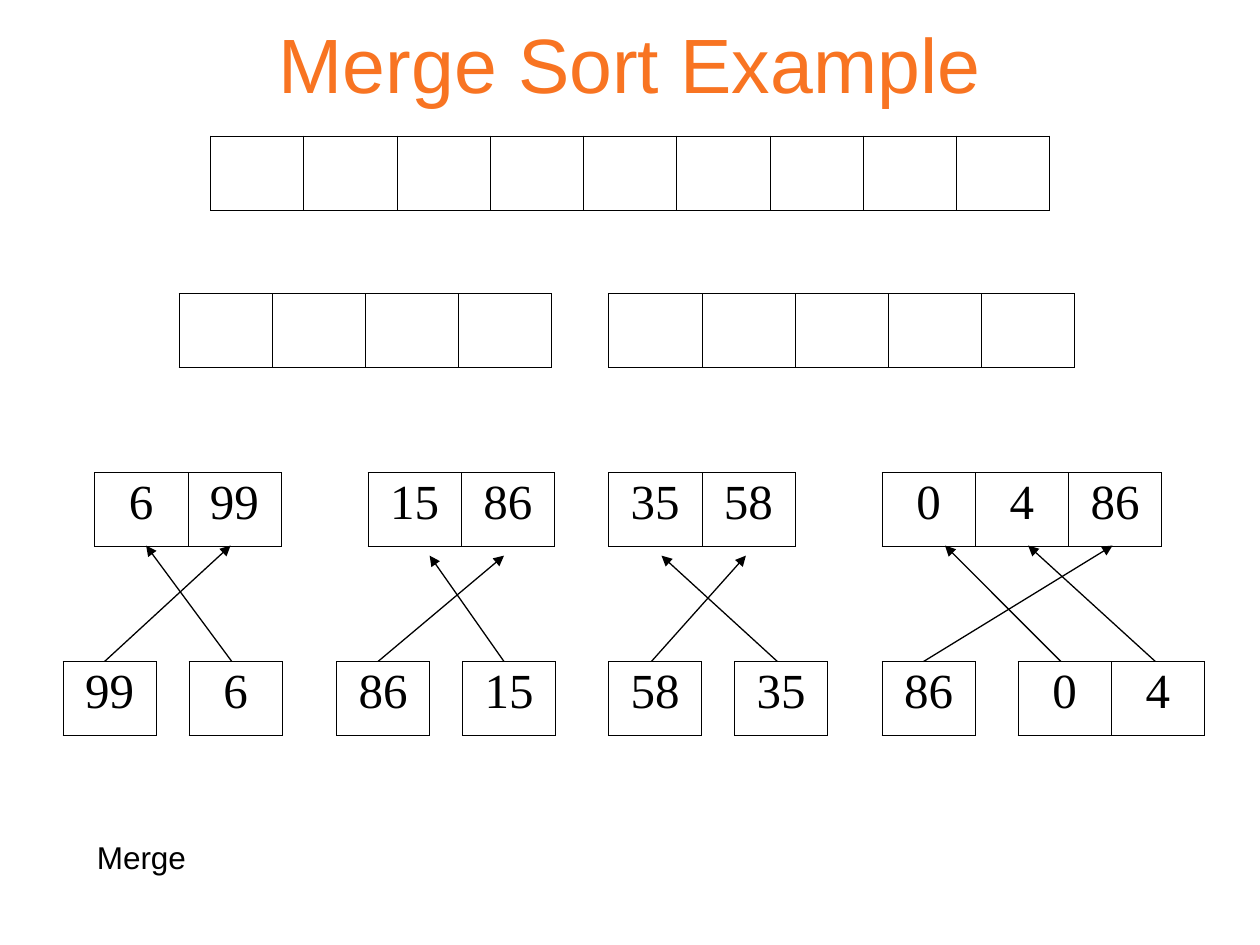
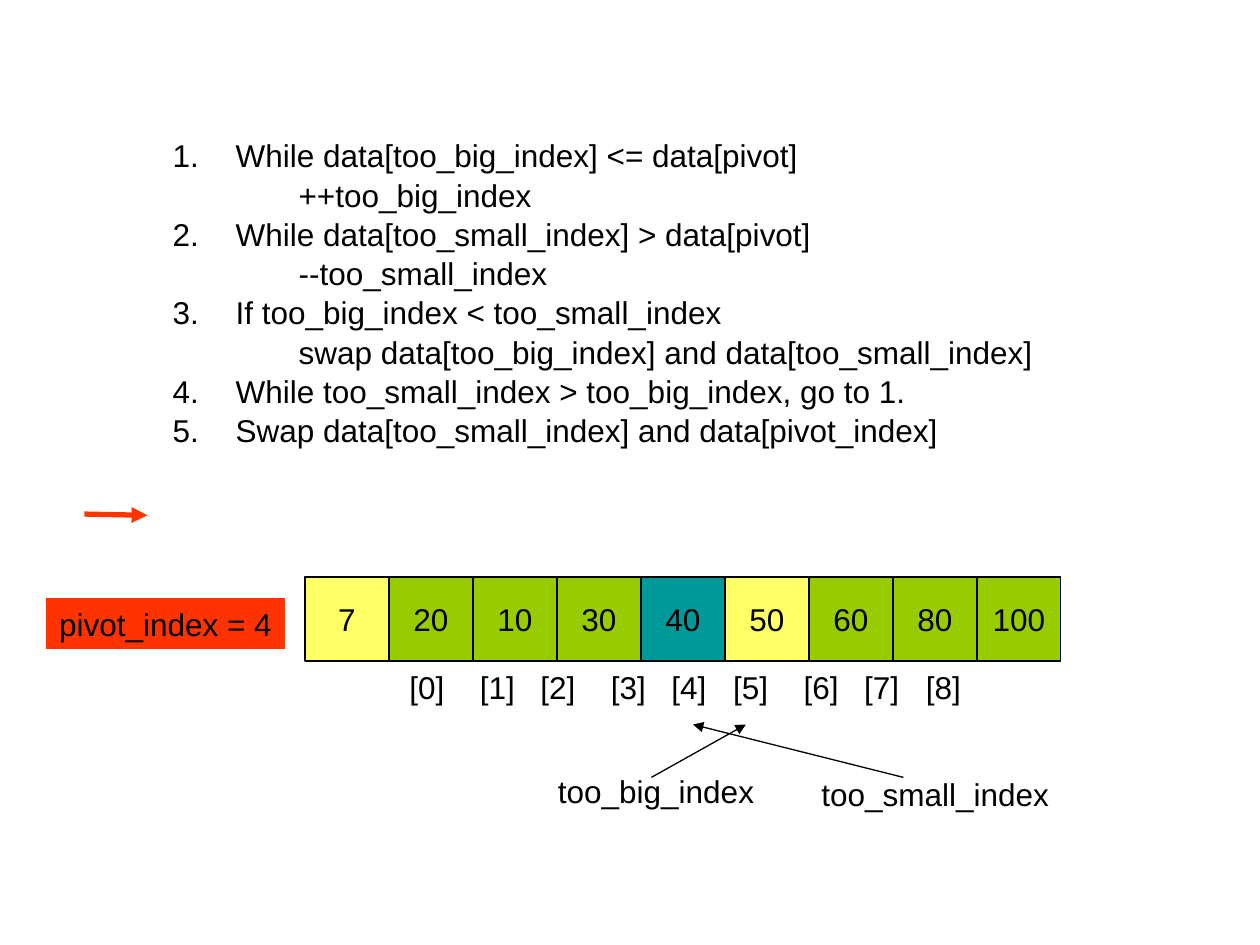
from lxml import etree
from pptx import Presentation
from pptx.dml.color import RGBColor
from pptx.enum.shapes import MSO_CONNECTOR, MSO_SHAPE
from pptx.enum.text import MSO_ANCHOR, MSO_AUTO_SIZE, PP_ALIGN
from pptx.oxml.ns import qn
from pptx.util import Inches, Pt

STRAIGHT = MSO_CONNECTOR.STRAIGHT
RECTANGLE = MSO_SHAPE.RECTANGLE
MIDDLE, TOP = MSO_ANCHOR.MIDDLE, MSO_ANCHOR.TOP
CENTER, LEFT = PP_ALIGN.CENTER, PP_ALIGN.LEFT
NO_AUTOFIT = MSO_AUTO_SIZE.NONE

BLACK = RGBColor(0x00, 0x00, 0x00)
ORANGE = RGBColor(0xF8, 0x74, 0x22)
RED = RGBColor(0xFF, 0x33, 0x00)
YELLOW = RGBColor(0xFF, 0xFF, 0x66)
GREEN = RGBColor(0x99, 0xCC, 0x00)
TEAL = RGBColor(0x00, 0x99, 0x99)

SANS, SERIF = "Arial", "Times New Roman"
TITLE_SIZE, BODY_SIZE, NUMBER_SIZE = 44, 18, 28
TITLE_LAYOUT, BODY_LAYOUT = 5, 1

MERGE_TITLE = "Merge Sort Example"
COLUMN_WIDTH, ROW_HEIGHT = 0.74, 0.59
MERGE_ROWS = [
    (1.08, [(1.67, [""] * 9)]),
    (2.33, [(1.42, [""] * 4), (4.83, [""] * 5)]),
    (3.75, [(0.75, ["6", "99"]), (2.92, ["15", "86"]),
            (4.83, ["35", "58"]), (7, ["0", "4", "86"])]),
    (5.25, [(0.5, ["99"]), (1.5, ["6"]), (2.67, ["86"]), (3.67, ["15"]),
            (4.83, ["58"]), (5.83, ["35"]), (7, ["86"]), (8.08, ["0", "4"])]),
]
MERGE_ARROWS_TOP = 5.25
MERGE_ARROWS = [
    (4.33, [(9.17, 8.16), (7.33, 8.83), (8.42, 7.5), (1.84, 1.16), (0.83, 1.83)]),
    (4.41, [(6.17, 5.25), (5.17, 5.92), (4, 3.41), (3, 4)]),
]

PARTITION_STEPS = [
    ("While data[too_big_index] <= data[pivot]", "++too_big_index"),
    ("While data[too_small_index] > data[pivot]", "--too_small_index"),
    ("If too_big_index < too_small_index",
     "swap data[too_big_index] and data[too_small_index]"),
    ("While too_small_index > too_big_index, go to 1.", None),
    ("Swap data[too_small_index] and data[pivot_index]", None),
]
ARRAY = [("7", YELLOW), ("20", GREEN), ("10", GREEN), ("30", GREEN), ("40", TEAL),
         ("50", YELLOW), ("60", GREEN), ("80", GREEN), ("100", GREEN)]
ARRAY_LEFT, ARRAY_TOP, ARRAY_CELL = 2.42, 4.58, 2 / 3
INDEX_TABS = [0.56, 1.04, 1.6, 2.08, 2.57, 3.13, 3.61, 4.1]
POINTER_LABELS = [("too_big_index", 4.33, 6.08, 3.17),
                  ("too_small_index", 6.42, 6.1, 2.33)]
POINTER_ARROWS = [((7.17, 6.17), (5.5, 5.75)), ((5.17, 6.17), (5.92, 5.75))]


def place(shape, left, top, width, height):
    shape.left, shape.top = Inches(left), Inches(top)
    shape.width, shape.height = Inches(width), Inches(height)


def format_runs(para, size=BODY_SIZE, color=BLACK, font=SANS):
    for span in para.runs:
        span.font.size = Pt(size)
        span.font.name = font
        span.font.color.rgb = color


def add_label(slide, text, left, top, width, tabs=()):
    box = slide.shapes.add_textbox(Inches(left), Inches(top), Inches(width), Inches(0.4))
    box.text_frame.word_wrap = True
    box.text_frame.text = text
    para = box.text_frame.paragraphs[0]
    if tabs:
        stops = etree.SubElement(para._p.get_or_add_pPr(), qn("a:tabLst"))
        for position in tabs:
            etree.SubElement(stops, qn("a:tab"), pos=str(Inches(position)), algn="l")
    format_runs(para)


def add_block(slide, text, fill, line, align, anchor, *area):
    block = slide.shapes.add_shape(RECTANGLE, *map(Inches, area))
    block.shadow.inherit = False
    block.fill.solid()
    block.fill.fore_color.rgb = fill
    block.line.color.rgb = line
    block.line.width = Pt(0.75)
    frame = block.text_frame
    frame.word_wrap = False
    frame.vertical_anchor = anchor
    frame.text = text
    frame.paragraphs[0].alignment = align
    format_runs(frame.paragraphs[0])


def add_arrow(slide, start, end, color=BLACK, width=0.75):
    arrow = slide.shapes.add_connector(STRAIGHT, *map(Inches, (*start, *end)))
    arrow.line.color.rgb = color
    arrow.line.width = Pt(width)
    etree.SubElement(arrow.line._get_or_add_ln(), qn("a:tailEnd"), type="triangle")
    etree.SubElement(arrow._element.spPr, qn("a:effectLst"))


def set_borders(cell, widths):
    properties = cell._tc.get_or_add_tcPr()
    for order, (side, width) in enumerate(widths.items()):
        border = etree.Element(qn("a:ln" + side), w=str(Pt(width)))
        fill = etree.SubElement(border, qn("a:solidFill"))
        etree.SubElement(fill, qn("a:srgbClr"), val=str(BLACK))
        properties.insert(order, border)


def add_array_table(slide, values, left, top):
    count = len(values)
    table = slide.shapes.add_table(
        1, count, Inches(left), Inches(top),
        Inches(COLUMN_WIDTH * count), Inches(ROW_HEIGHT)).table
    table.first_row = table.horz_banding = False
    for index, value in enumerate(values):
        table.columns[index].width = Inches(COLUMN_WIDTH)
        cell = table.cell(0, index)
        cell.fill.background()
        set_borders(cell, {"L": 0.25 if index else 0.5,
                           "R": 0.25 if index < count - 1 else 0.5,
                           "T": 0.5, "B": 0.5})
        if value:
            cell.text_frame.text = value
            para = cell.text_frame.paragraphs[0]
            para.alignment = CENTER
            para.line_spacing = 0.93
            format_runs(para, NUMBER_SIZE, font=SERIF)


def build_merge_slide(deck):
    slide = deck.slides.add_slide(deck.slide_layouts[TITLE_LAYOUT])
    title = slide.shapes.title
    place(title, 0.75, 0, 8.5, 1)
    title.text_frame.text = MERGE_TITLE
    title.text_frame.vertical_anchor = MIDDLE
    title.text_frame.paragraphs[0].alignment = CENTER
    format_runs(title.text_frame.paragraphs[0], TITLE_SIZE, ORANGE)
    for top, arrays in MERGE_ROWS:
        for left, values in arrays:
            add_array_table(slide, values, left, top)
    add_label(slide, "Merge", 0.67, 6.6, 5.08)
    for end_top, moves in MERGE_ARROWS:
        for start, end in moves:
            add_arrow(slide, (start, MERGE_ARROWS_TOP), (end, end_top))


def fill_steps(frame):
    lines = [(text, level) for step in PARTITION_STEPS
             for level, text in enumerate(step) if text]
    for index, (text, level) in enumerate(lines):
        para = frame.add_paragraph() if index else frame.paragraphs[0]
        para.text = text
        para.level = level
        para.alignment = LEFT
        para.space_before = Pt(0)
        para.line_spacing = 1.04
        properties = para._p.get_or_add_pPr()
        properties.set("marL", str(Inches(1 if level else 0.5)))
        properties.set("indent", str(Inches(0 if level else -0.5)))
        if level:
            etree.SubElement(properties, qn("a:buNone"))
        else:
            etree.SubElement(properties, qn("a:buFont"), typeface=SANS)
            etree.SubElement(properties, qn("a:buAutoNum"), type="arabicPeriod")
        format_runs(para)


def build_partition_slide(deck):
    slide = deck.slides.add_slide(deck.slide_layouts[BODY_LAYOUT])
    title = slide.shapes.title._element
    title.getparent().remove(title)
    body = slide.placeholders[1]
    place(body, 1.27, 1.02, 8.02, 3.4)
    body.text_frame.word_wrap = True
    body.text_frame.auto_size = NO_AUTOFIT
    body.text_frame.vertical_anchor = TOP
    fill_steps(body.text_frame)
    for index, (value, color) in enumerate(ARRAY):
        add_block(slide, value, color, BLACK, CENTER, MIDDLE,
                  ARRAY_LEFT + index * ARRAY_CELL, ARRAY_TOP, ARRAY_CELL, ARRAY_CELL)
    add_block(slide, "pivot_index = 4", RED, RED, LEFT, TOP, 0.37, 4.75, 1.89, 0.4)
    indexes = "\t".join(f"[{index}]" for index in range(len(ARRAY)))
    add_label(slide, indexes, 3.15, 5.25, 4.62, INDEX_TABS)
    for label in POINTER_LABELS:
        add_label(slide, *label)
    for start, end in POINTER_ARROWS:
        add_arrow(slide, start, end)
    add_arrow(slide, (0.67, 4.08), (1.17, 4.09), RED, 3)


def main():
    deck = Presentation()
    deck.slide_width, deck.slide_height = Inches(10), Inches(7.5)
    build_merge_slide(deck)
    build_partition_slide(deck)
    deck.save("out.pptx")


if __name__ == "__main__":
    main()
